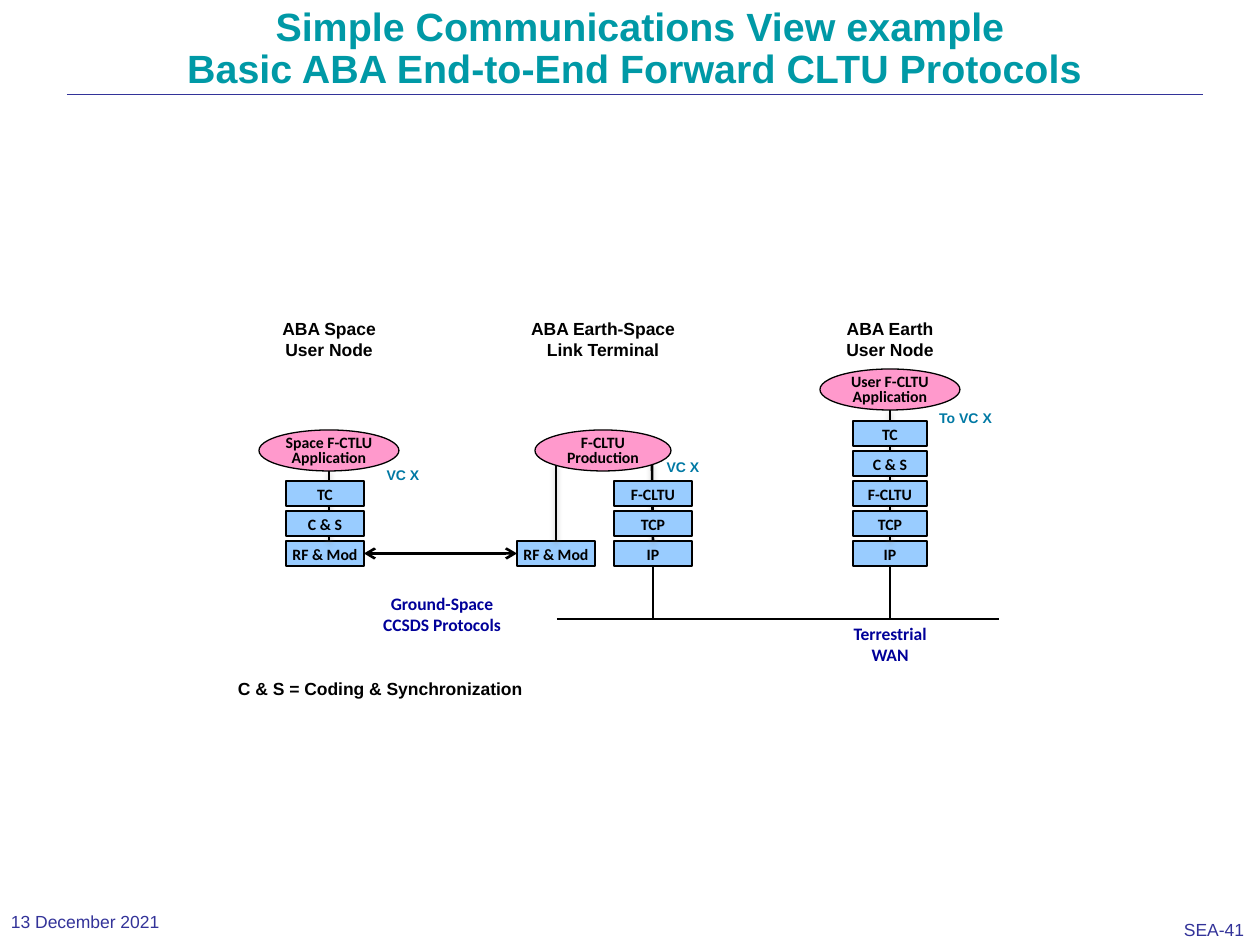
from lxml import etree
from pptx import Presentation
from pptx.dml.color import RGBColor
from pptx.enum.shapes import MSO_CONNECTOR, MSO_SHAPE
from pptx.enum.text import MSO_ANCHOR, PP_ALIGN
from pptx.oxml.ns import qn
from pptx.util import Pt

STRAIGHT = MSO_CONNECTOR.STRAIGHT
RECT, OVAL = MSO_SHAPE.RECTANGLE, MSO_SHAPE.OVAL
LEFT, CENTER = PP_ALIGN.LEFT, PP_ALIGN.CENTER
TOP, MIDDLE = MSO_ANCHOR.TOP, MSO_ANCHOR.MIDDLE
SIDE_TOP, SIDE_LEFT, SIDE_BOTTOM, SIDE_RIGHT = range(4)

BLACK, NAVY, INDIGO = "000000", "000099", "333399"
TEAL, BLUE = "0099A6", "0079A4"
BLOCK_FILL, APP_FILL = "99CCFF", "FF99CC"

EMU_PER_PX = 914400 / 126
BASE_Y, ROW_PITCH, BLOCK_H = 541, 30, 25
WAN_Y = 619


def px(length):
    return round(length * EMU_PER_PX)


def color(hex_string):
    return RGBColor.from_string(hex_string)


def write(frame, text, size=10, font="Arial", ink=BLACK, bold=True, align=CENTER,
          anchor=TOP, insets=(13, 6), spacing=None, wrap=True):
    """Fill a text frame; insets are (horizontal, vertical) in px."""
    frame.word_wrap = wrap
    frame.vertical_anchor = anchor
    frame.margin_left = frame.margin_right = px(insets[0])
    frame.margin_top = frame.margin_bottom = px(insets[1])
    frame.text = text
    for paragraph in frame.paragraphs:
        paragraph.alignment = align
        if spacing:
            paragraph.line_spacing = spacing
        for run in paragraph.runs:
            run.font.size = Pt(size)
            run.font.name = font
            run.font.bold = bold
            run.font.color.rgb = color(ink)


class Diagram:
    def __init__(self, slide):
        self.shapes = slide.shapes

    def label(self, text, x, y, w, h, **style):
        box = self.shapes.add_textbox(px(x), px(y), px(w), px(h))
        write(box.text_frame, text, **style)

    def node(self, kind, text, x, y, w, h, fill, **style):
        shape = self.shapes.add_shape(kind, px(x), px(y), px(w), px(h))
        shape.shadow.inherit = False
        shape.fill.solid()
        shape.fill.fore_color.rgb = color(fill)
        shape.line.color.rgb = color(BLACK)
        shape.line.width = Pt(0.75)
        write(shape.text_frame, text, size=9, font="Calibri", **style)
        return shape

    def application(self, text, x, y, w=140):
        self.node(OVAL, text, x, y, w, 41, APP_FILL, insets=(0, 0), spacing=0.8)

    def line(self, x1, y1, x2, y2, ink=BLACK, width=1.5, begin=None, end=None,
             arrows=False, shadow=False):
        """Draw a line; begin and end are (shape, side) pairs to join."""
        link = self.shapes.add_connector(STRAIGHT, px(x1), px(y1), px(x2), px(y2))
        if begin:
            link.begin_connect(*begin)
        if end:
            link.end_connect(*end)
        link.line.color.rgb = color(ink)
        link.line.width = Pt(width)
        if arrows:
            outline = link.line._get_or_add_ln()
            for tip in ("a:headEnd", "a:tailEnd"):
                etree.SubElement(outline, qn(tip), type="arrow")
        effects = etree.SubElement(link._element.spPr, qn("a:effectLst"))
        if shadow:
            outer = etree.SubElement(effects, qn("a:outerShdw"), blurRad=str(Pt(3.1)),
                                     dist=str(Pt(1.6)), dir="5400000")
            tint = etree.SubElement(outer, qn("a:srgbClr"), val="808080")
            etree.SubElement(tint, qn("a:alpha"), val="38000")

    def stack(self, layers, x, w, riser_x, riser_y, joined=True):
        """Pile protocol layers, listed bottom first, over a riser; return the lowest."""
        def block(row, text):
            return self.node(RECT, text, x, BASE_Y - row * ROW_PITCH, w, BLOCK_H,
                             BLOCK_FILL, insets=(5, 4))

        lowest = block(0, layers[0])
        self.line(riser_x, riser_y, riser_x, BASE_Y, shadow=True,
                  end=(lowest, SIDE_TOP) if joined else None)
        for row, text in enumerate(layers[1:], start=1):
            block(row, text)
        return lowest


def main():
    deck = Presentation()
    deck.slide_width, deck.slide_height = px(1260), px(945)
    diagram = Diagram(deck.slides.add_slide(deck.slide_layouts[6]))

    diagram.line(67, 94, 1203, 94, ink=INDIGO, width=0.13)
    diagram.label("SEA-41", 1173, 914, 86, 33, ink=INDIGO, bold=False, align=LEFT,
                  insets=(11, 5), wrap=False)
    diagram.label("13 December 2021", 0, 904, 238, 36, ink=INDIGO, bold=False,
                  align=LEFT, anchor=MIDDLE, insets=(11, 6))
    diagram.label("Simple Communications View example\v"
                  "Basic ABA End-to-End Forward CLTU Protocols ",
                  105, -3, 1071, 105, size=22.5, ink=TEAL, anchor=MIDDLE, spacing=0.9)

    for heading, x, w in (("ABA Space User Node", 256, 146),
                          ("ABA Earth-Space\nLink Terminal", 515, 176),
                          ("ABA Earth User Node", 813, 154)):
        diagram.label(heading, x, 312, w, 55)
    for channel, x, y, w in (("VC X", 374, 461, 58), ("VC X", 654, 452, 58),
                             ("To VC X", 926, 404, 79)):
        diagram.label(channel, x, y, w, 30, size=8, ink=BLUE, insets=(4, 6), wrap=False)
    for network, x, y, w in (("Ground-Space\nCCSDS Protocols", 360, 587, 164),
                             ("Terrestrial\nWAN", 818, 617, 144)):
        diagram.label(network, x, y, w, 55, font="Calibri", ink=NAVY)
    diagram.label("C & S = Coding & Synchronization", 225, 672, 314, 34, align=LEFT)

    space_radio = diagram.stack(["RF & Mod", "C & S", "TC"], 286, 78, 329, 470,
                                joined=False)
    link_radio = diagram.stack(["RF & Mod"], 517, 78, 556, 464)
    link_ip = diagram.stack(["IP", "TCP", "F-CLTU"], 614, 78, 652, 464)
    earth_ip = diagram.stack(["IP", "TCP", "F-CLTU", "C & S", "TC"], 853, 74, 890, 410)

    diagram.application("Space F-CTLU\nApplication", 259, 430)
    diagram.application("F-CLTU\nProduction", 535, 430, w=136)
    diagram.application("User F-CLTU\nApplication", 820, 369)

    diagram.line(557, WAN_Y, 999, WAN_Y)
    for host, x in ((link_ip, 653), (earth_ip, 890)):
        diagram.line(x, BASE_Y + BLOCK_H, x, WAN_Y, begin=(host, SIDE_BOTTOM))
    diagram.line(364, 553, 517, 553, arrows=True,
                 begin=(space_radio, SIDE_RIGHT), end=(link_radio, SIDE_LEFT))

    deck.save("out.pptx")


if __name__ == "__main__":
    main()
